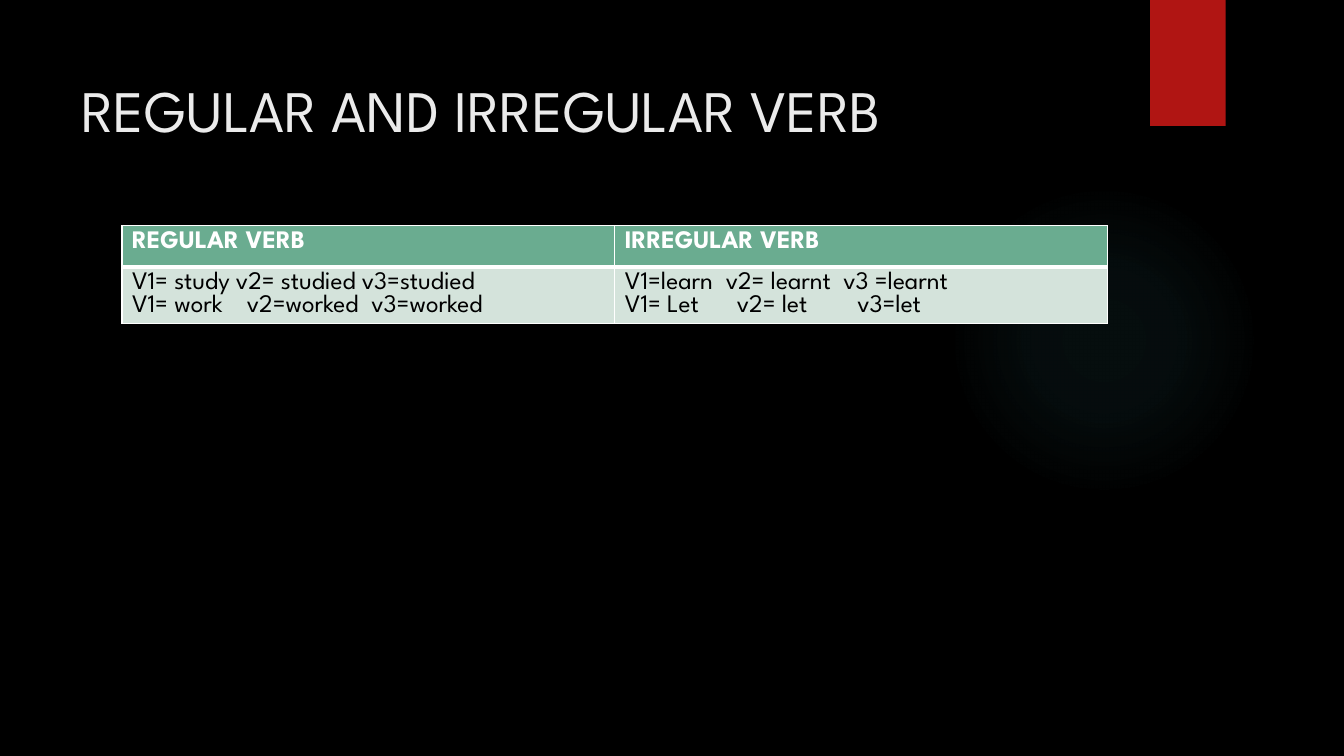
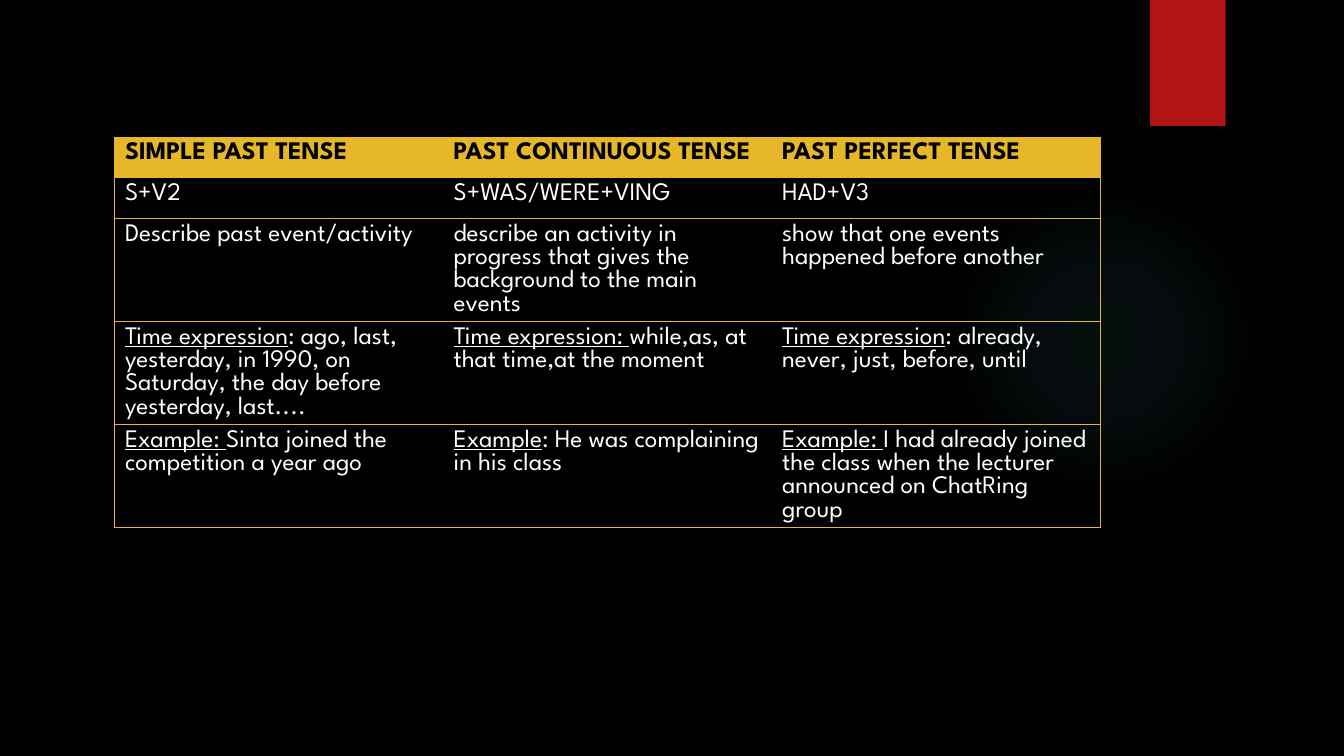
from dataclasses import dataclass

from lxml.etree import SubElement
from pptx import Presentation
from pptx.dml.color import RGBColor
from pptx.enum.shapes import MSO_SHAPE
from pptx.enum.text import MSO_ANCHOR, PP_ALIGN
from pptx.oxml import parse_xml
from pptx.oxml.ns import nsdecls, qn
from pptx.util import Pt


@dataclass(frozen=True)
class Theme:
    font: str = "League Spartan"
    title_size: int = 42
    body_size: int = 18
    black: str = "000000"
    white: str = "FFFFFF"
    title: str = "EBEBEB"
    red: str = "B01513"
    glow: str = "50B9C1"
    green: str = "6AAC90"
    pale_green: str = "D4E3DB"
    gold: str = "E6B729"


@dataclass(frozen=True)
class Box:
    left: float
    top: float
    width: float
    height: float

    def lengths(self):
        return Pt(self.left), Pt(self.top), Pt(self.width), Pt(self.height)


@dataclass(frozen=True)
class Line:
    text: str
    lead: str = ""
    tabs: tuple = ()


@dataclass(frozen=True)
class TableStyle:
    header_fill: str
    header_text: str
    body_fill: str
    body_text: str
    border: str
    border_width: float
    header_rule: float
    inner_columns: bool


THEME = Theme()
GREEN_TABLE = TableStyle(THEME.green, THEME.white, THEME.pale_green, THEME.black,
                         THEME.white, 1, 3, True)
GOLD_TABLE = TableStyle(THEME.gold, THEME.black, "", THEME.white,
                        THEME.gold, 0.75, 0.75, False)

GLOW_BOX = Box(677.5, 131.8, 221.8, 221.8)
BAND_BOX = Box(821.5, 0, 54, 90)
TITLE_BOX = Box(51, 36, 741, 110)
VERB_BOX = Box(87.1, 161.3, 704.2, 69.7)
TENSE_BOX = Box(82.1, 97.9, 704.2, 279.2)
SHORT_ROW = 29.2
TALL_ROW = 73.6

VERB_ROWS = [
    [[Line("REGULAR VERB")], [Line("IRREGULAR VERB")]],
    [
        [Line("V1= study v2= studied v3=studied"),
         Line("V1= work\tv2=worked\tv3=worked", tabs=(82, 171))],
        [Line("V1=learn\tv2= learnt\tv3 =learnt", tabs=(72, 156)),
         Line("V1= Let\tv2= let\tv3=let", tabs=(80, 166))],
    ],
]

TENSE_ROWS = [
    [[Line("SIMPLE PAST TENSE")], [Line("PAST CONTINUOUS TENSE")], [Line("PAST PERFECT TENSE")]],
    [[Line("S+V2")], [Line("S+WAS/WERE+VING")], [Line("HAD+V3")]],
    [
        [Line("Describe past event/activity")],
        [Line("describe an activity in progress that gives the background to the main events")],
        [Line("show that one events happened before another")],
    ],
    [
        [Line(": ago, last, yesterday, in 1990, on Saturday, the day before yesterday, last....",
              "Time expression")],
        [Line("while,as, at that time,at the moment", "Time expression: ")],
        [Line(": already, never, just, before, until", "Time expression")],
    ],
    [
        [Line("Sinta joined the competition a year ago", "Example: ")],
        [Line(": He was complaining in his class", "Example")],
        [Line("I had already joined the class when the lecturer announced on ChatRing group",
              "Example: ")],
    ],
]


def add_run(paragraph, text, size, color, bold=False, underline=False):
    run = paragraph.add_run()
    run.text = text
    run.font.name = THEME.font
    run.font.size = Pt(size)
    run.font.bold = bold
    run.font.underline = underline
    run.font.color.rgb = RGBColor.from_string(color)


def add_plain_shape(slide, preset, box, color):
    shape = slide.shapes.add_shape(preset, *box.lengths())
    shape.shadow.inherit = False
    shape.fill.solid()
    shape.fill.fore_color.rgb = RGBColor.from_string(color)
    shape.line.fill.background()
    return shape


def add_backdrop(slide):
    glow = add_plain_shape(slide, MSO_SHAPE.OVAL, GLOW_BOX, THEME.glow)
    stops = "".join(
        f'<a:gs pos="{position * 1000}"><a:srgbClr val="{THEME.glow}">'
        f'<a:alpha val="{opacity * 1000}"/></a:srgbClr></a:gs>'
        for position, opacity in ((0, 7), (36, 6), (69, 0))
    )
    gradient = parse_xml(
        f'<a:gradFill {nsdecls("a")}><a:gsLst>{stops}</a:gsLst><a:path path="circle">'
        '<a:fillToRect l="50000" t="50000" r="50000" b="50000"/></a:path></a:gradFill>'
    )
    properties = glow.element.spPr
    properties.replace(properties.find(qn("a:solidFill")), gradient)
    add_plain_shape(slide, MSO_SHAPE.RECTANGLE, BAND_BOX, THEME.red)


def add_title(slide, box, text):
    title = slide.shapes.title
    title.left, title.top, title.width, title.height = box.lengths()
    frame = title.text_frame
    frame.word_wrap = True
    frame.vertical_anchor = MSO_ANCHOR.TOP
    frame.margin_top = Pt(16.5)
    paragraph = frame.paragraphs[0]
    paragraph.alignment = PP_ALIGN.LEFT
    add_run(paragraph, text, THEME.title_size, THEME.title)


def set_borders(cell, widths, color):
    properties = cell._tc.get_or_add_tcPr()
    for side, width in zip("LRTB", widths):
        line = SubElement(properties, qn(f"a:ln{side}"), w=str(Pt(width)))
        if width:
            fill = SubElement(line, qn("a:solidFill"))
            SubElement(fill, qn("a:srgbClr"), val=color)
        else:
            SubElement(line, qn("a:noFill"))


def fill_cell(cell, lines, fill, color, bold):
    if fill:
        cell.fill.solid()
        cell.fill.fore_color.rgb = RGBColor.from_string(fill)
    else:
        cell.fill.background()
    frame = cell.text_frame
    for index, line in enumerate(lines):
        paragraph = frame.add_paragraph() if index else frame.paragraphs[0]
        if line.tabs:
            tab_list = SubElement(paragraph._p.get_or_add_pPr(), qn("a:tabLst"))
            for position in line.tabs:
                SubElement(tab_list, qn("a:tab"), pos=str(Pt(position)), algn="l")
        if line.lead:
            add_run(paragraph, line.lead, THEME.body_size, color, bold, underline=True)
        add_run(paragraph, line.text, THEME.body_size, color, bold)


def add_styled_table(slide, box, rows, heights, style):
    column_count = len(rows[0])
    table = slide.shapes.add_table(len(rows), column_count, *box.lengths()).table
    table.horz_banding = False
    for column in table.columns:
        column.width = Pt(box.width / column_count)
    inner = style.border_width if style.inner_columns else 0
    for row_index, (row, height) in enumerate(zip(rows, heights)):
        table.rows[row_index].height = Pt(height)
        header = row_index == 0
        for column_index, lines in enumerate(row):
            cell = table.cell(row_index, column_index)
            widths = (
                inner if column_index else style.border_width,
                inner if column_index < column_count - 1 else style.border_width,
                style.header_rule if row_index == 1 else style.border_width,
                style.header_rule if header else style.border_width,
            )
            set_borders(cell, widths, style.border)
            fill = style.header_fill if header else style.body_fill
            color = style.header_text if header else style.body_text
            fill_cell(cell, lines, fill, color, header)


def add_verb_slide(presentation):
    slide = presentation.slides.add_slide(presentation.slide_layouts[5])
    add_backdrop(slide)
    add_title(slide, TITLE_BOX, "REGULAR AND IRREGULAR VERB")
    add_styled_table(slide, VERB_BOX, VERB_ROWS, [SHORT_ROW, 40.5], GREEN_TABLE)


def add_tense_slide(presentation):
    slide = presentation.slides.add_slide(presentation.slide_layouts[6])
    add_backdrop(slide)
    heights = [SHORT_ROW] * 2 + [TALL_ROW] * 3
    add_styled_table(slide, TENSE_BOX, TENSE_ROWS, heights, GOLD_TABLE)


def main():
    presentation = Presentation()
    presentation.slide_width = Pt(960)
    presentation.slide_height = Pt(540)
    background = presentation.slide_master.background.fill
    background.solid()
    background.fore_color.rgb = RGBColor.from_string(THEME.black)
    add_verb_slide(presentation)
    add_tense_slide(presentation)
    presentation.save("out.pptx")


if __name__ == "__main__":
    main()
